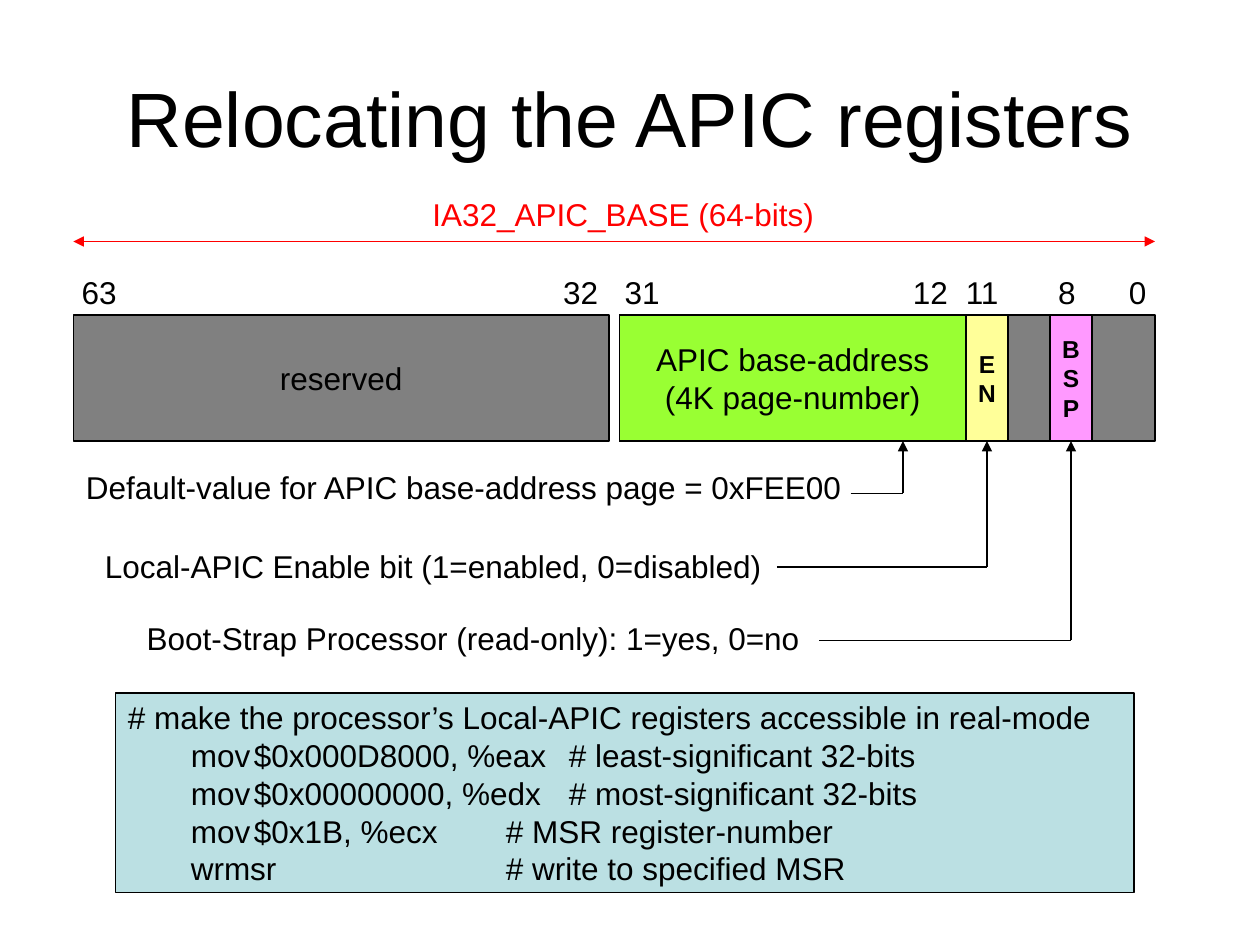
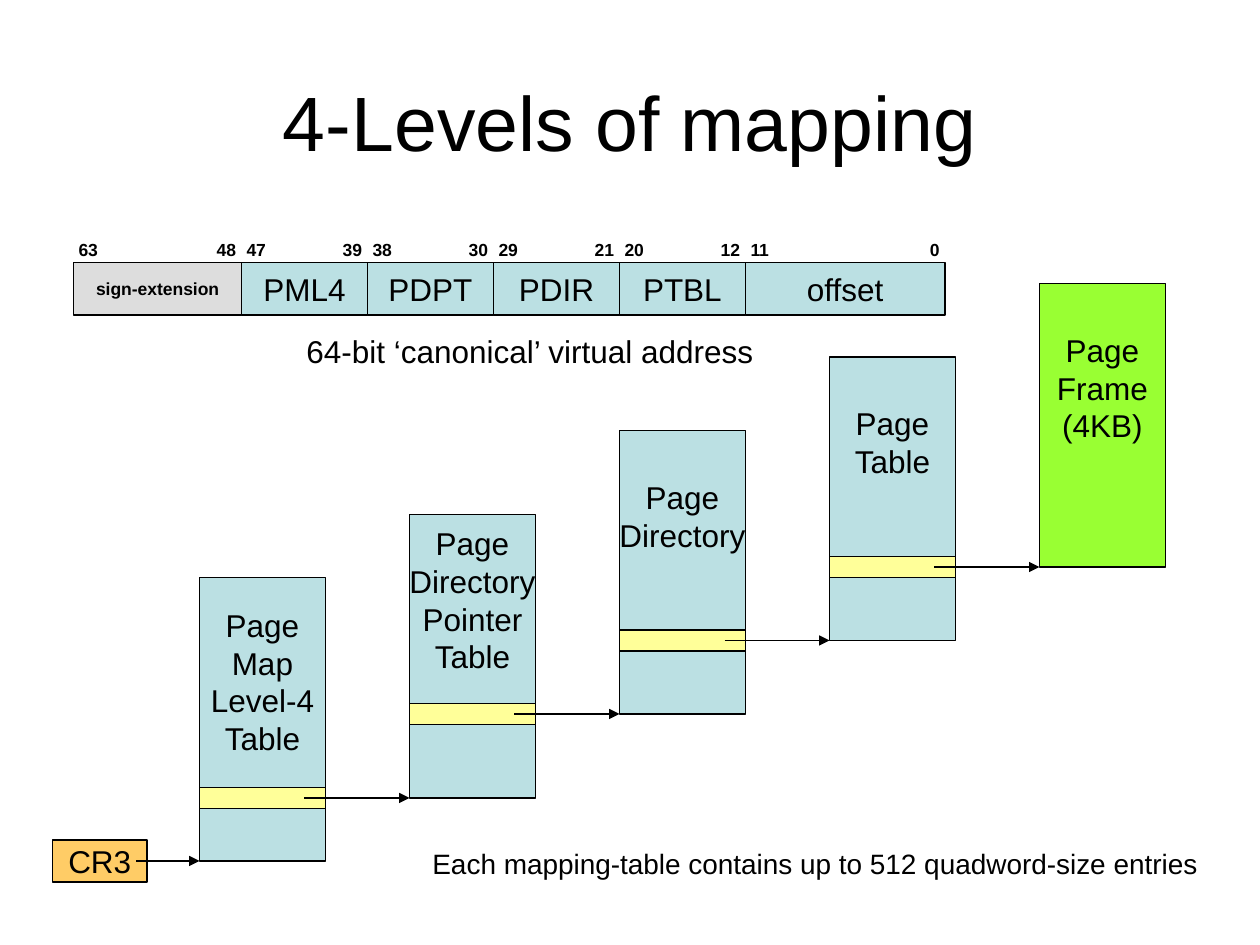
from itertools import accumulate

from pptx import Presentation
from pptx.dml.color import RGBColor
from pptx.enum.shapes import MSO_CONNECTOR, MSO_SHAPE
from pptx.enum.text import MSO_ANCHOR, PP_ALIGN
from pptx.oxml.ns import qn
from pptx.util import Inches, Pt
from lxml import etree

STRAIGHT = MSO_CONNECTOR.STRAIGHT
RECT = MSO_SHAPE.RECTANGLE
TOP, MIDDLE = MSO_ANCHOR.TOP, MSO_ANCHOR.MIDDLE
LEFT, CENTER = PP_ALIGN.LEFT, PP_ALIGN.CENTER

FONT = "Arial"
BLACK, RED, GREY, SILVER = "000000", "FF0000", "808080", "DDDDDD"
BLUE, GREEN, YELLOW = "BBE0E3", "99FF33", "FFFF99"
PINK, ORANGE = "FF99FF", "FFCC66"

COLS, ROWS = 120, 90  # the slide grid: twelve cells to the inch
LINE_WIDTH = 0.75
TEXT_LINE = 0.3  # inches taken by one 18 pt line
LABEL_H = 4.8


def grid(n):
    """Length of n grid cells."""
    return Inches(n / 12)


def rgb(hex_color):
    return RGBColor.from_string(hex_color)


def write(sp, text, size=18, color=BLACK, bold=False, align=LEFT,
          anchor=TOP, wrap=False, lift=0):
    """Fill a shape with text; lift reserves that many lines below it."""
    tf = sp.text_frame
    tf.word_wrap = wrap
    tf.vertical_anchor = anchor
    tf.margin_left = tf.margin_right = Inches(0.1)
    tf.margin_top = Inches(0.05)
    tf.margin_bottom = Inches(0.05 + lift * TEXT_LINE)
    for i, line in enumerate(text.split("\n")):
        p = tf.paragraphs[0] if i == 0 else tf.add_paragraph()
        p.alignment = align
        r = p.add_run()
        r.text = line
        r.font.name, r.font.size, r.font.bold = FONT, Pt(size), bold
        r.font.color.rgb = rgb(color)


def label(s, text, x, y, w, h=LABEL_H, **fmt):
    sp = s.shapes.add_textbox(grid(x), grid(y), grid(w), grid(h))
    write(sp, text, **fmt)
    return sp


def box(s, x, y, w, h, fill, text="", **fmt):
    sp = s.shapes.add_shape(RECT, grid(x), grid(y), grid(w), grid(h))
    sp.shadow.inherit = False
    sp.fill.solid()
    sp.fill.fore_color.rgb = rgb(fill)
    sp.line.color.rgb = rgb(BLACK)
    sp.line.width = Pt(LINE_WIDTH)
    if text:
        write(sp, text, **{"align": CENTER, "anchor": MIDDLE, **fmt})


def line(s, x1, y1, x2, y2, color=BLACK, ends=()):
    """Straight line; ends names the arrowheads: headEnd, tailEnd."""
    c = s.shapes.add_connector(STRAIGHT, grid(x1), grid(y1), grid(x2), grid(y2))
    c.line.color.rgb = rgb(color)
    c.line.width = Pt(LINE_WIDTH)
    ln = c.line._get_or_add_ln()
    for end in ends:
        etree.SubElement(ln, qn("a:" + end), type="triangle")
    etree.SubElement(c._element.spPr, qn("a:effectLst"))


def arrow(s, x1, y1, x2, y2):
    line(s, x1, y1, x2, y2, ends=["tailEnd"])


def bit_numbers(s, x, y, w, marks, **fmt):
    """One line of bit numbers at tab stops; marks hold (text, offset, l or r)."""
    text = "".join("\t" + bit for bit, _, _ in marks)
    sp = label(s, text, x - 1.2, y, w + 2.4, wrap=True, **fmt)
    p_pr = sp.text_frame.paragraphs[0]._p.get_or_add_pPr()
    tabs = etree.SubElement(p_pr, qn("a:tabLst"))
    for _, offset, side in marks:
        etree.SubElement(tabs, qn("a:tab"), pos=str(grid(offset)), algn=side)


def new_slide(prs, title, top):
    s = prs.slides.add_slide(prs.slide_layouts[6])
    label(s, title, COLS * 0.05, top, COLS * 0.9, 15,
          size=44, align=CENTER, anchor=MIDDLE, wrap=True)
    return s


def callout(s, text, x, y, w, start, target, level):
    """Text with a line that runs right, then up to the register."""
    label(s, text, x, y, w)
    line(s, start, level, target, level)
    arrow(s, target, level, target, 42)


def registers_slide(prs):
    s = new_slide(prs, "Relocating the APIC registers", 3.6)
    label(s, "IA32_APIC_BASE (64-bits)", 40, 18, 38.8, color=RED)
    line(s, 7, 23, 110, 23, RED, ["headEnd", "tailEnd"])
    bit_numbers(s, 7, 25.4, 103, [
        ("63", 0.8, "l"), ("32", 50, "r"), ("31", 52.5, "l"), ("12", 83.3, "r"),
        ("11", 85, "l"), ("8", 93.8, "l"), ("0", 102.2, "r")])

    fields = [
        (7, 51, GREY, "reserved", {}),
        (59, 51, GREY, "", {}),
        (59, 33, GREEN, "APIC base-address\n(4K page-number)", {}),
        (92, 4, YELLOW, "E\nN", {"size": 14, "bold": True}),
        (100, 4, PINK, "B\nS\nP", {"size": 14, "bold": True}),
    ]
    for x, w, fill, text, fmt in fields:
        box(s, x, 30, w, 12, fill, text, **fmt)

    callout(s, "Default-value for APIC base-address page = 0xFEE00",
            7, 44, 74.5, 81, 86, 47)
    callout(s, "Local-APIC Enable bit (1=enabled, 0=disabled)",
            8.8, 51.5, 65, 74, 94, 54)
    callout(s, "Boot-Strap Processor (read-only): 1=yes, 0=no",
            12.8, 58.4, 64.6, 78, 102, 61)

    code = "\n".join([
        "# make the processor’s Local-APIC registers accessible in real-mode",
        "\tmov\t$0x000D8000, %eax\t# least-significant 32-bits",
        "\tmov\t$0x00000000, %edx\t# most-significant 32-bits",
        "\tmov\t$0x1B, %ecx\t\t# MSR register-number",
        "\twrmsr\t\t\t\t# write to specified MSR",
    ])
    box(s, 11, 66, 97, 19, BLUE, code, align=LEFT, wrap=True)


def virtual_address(s):
    fields = [("sign-extension", 16, "63", "48"), ("PML4", 12, "47", "39"),
              ("PDPT", 12, "38", "30"), ("PDIR", 12, "29", "21"),
              ("PTBL", 12, "20", "12"), ("offset", 19, "11", "0")]
    x, pad = 7, 0.5
    ends = list(accumulate(w for _, w, _, _ in fields))
    marks = []
    for (name, w, high, low), end in zip(fields, ends):
        extension = name == "sign-extension"
        box(s, x + end - w, 25, w, 5, SILVER if extension else BLUE, name,
            size=10 if extension else 18, bold=extension)
        marks += [(high, end - w + pad, "l"), (low, end - pad, "r")]
    bit_numbers(s, x, 22.2, ends[-1], marks, size=10, bold=True)
    label(s, "64-bit ‘canonical’ virtual address", 28, 31, 45.1)


def mapping_slide(prs):
    s = new_slide(prs, "4-Levels of mapping", 4)
    virtual_address(s)

    tables = [("Page\nMap\nLevel-4\nTable", 55, 2),
              ("Page\nDirectory\nPointer\nTable", 49, 3),
              ("Page\nDirectory", 41, 3),
              ("Page\nTable", 34, 3),
              ("Page\nFrame\n(4KB)", 27, 2)]
    left, step, width, height = 19, 20, 12, 27
    last = len(tables) - 1
    for i, (name, top, lift) in enumerate(tables):
        x = left + i * step
        box(s, x, top, width, height, GREEN if i == last else BLUE, name, lift=lift)
        if i < last:
            target = tables[i + 1][1] + height
            box(s, x, target - 1, width, 2, YELLOW)
            arrow(s, x + 10, target, x + step, target)

    box(s, 5, 80, 9, 4, ORANGE, "CR3")
    arrow(s, 13, 82, left, 82)
    label(s, "Each mapping-table contains up to 512 quadword-size entries",
          40, 80, 76, size=16)


def main():
    prs = Presentation()
    prs.slide_width, prs.slide_height = grid(COLS), grid(ROWS)
    registers_slide(prs)
    mapping_slide(prs)
    prs.save("out.pptx")


if __name__ == "__main__":
    main()
